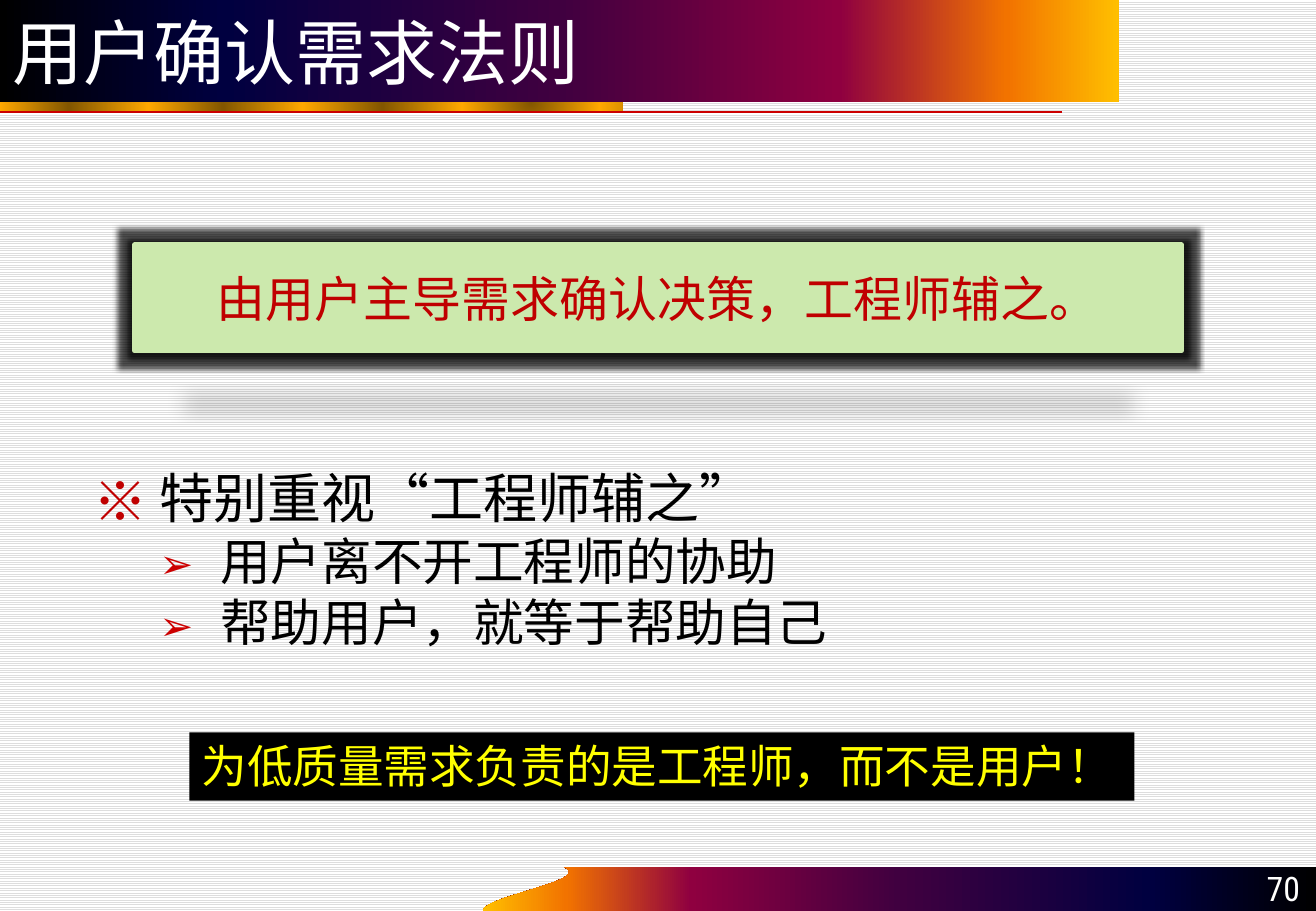
"""Build the slide on the rule that users confirm the requirements."""
from dataclasses import dataclass

from lxml import etree
from pptx import Presentation
from pptx.dml.color import RGBColor
from pptx.enum.dml import MSO_PATTERN
from pptx.enum.shapes import MSO_CONNECTOR, MSO_SHAPE
from pptx.enum.text import MSO_ANCHOR, MSO_AUTO_SIZE, PP_ALIGN
from pptx.oxml.ns import qn
from pptx.util import Inches, Pt

LIGHT_HORIZONTAL = MSO_PATTERN.LIGHT_HORIZONTAL
RECTANGLE = MSO_SHAPE.RECTANGLE
STRAIGHT = MSO_CONNECTOR.STRAIGHT
TOP, MIDDLE, BOTTOM = MSO_ANCHOR.TOP, MSO_ANCHOR.MIDDLE, MSO_ANCHOR.BOTTOM
FIXED, GROW = MSO_AUTO_SIZE.NONE, MSO_AUTO_SIZE.SHAPE_TO_FIT_TEXT
LEFT, CENTER, RIGHT = PP_ALIGN.LEFT, PP_ALIGN.CENTER, PP_ALIGN.RIGHT

WIDTH, HEIGHT = Inches(10.83), Inches(7.5)
SUNSET = [(0, "000000"), (20, "000040"), (50, "400040"),
          (75, "8F0040"), (90, "F27300"), (100, "FFBF00")]
GOLD = [(share, "FFA800" if i % 2 else "825600")
        for i, share in enumerate((0, 13, 28, 43, 58, 72, 87, 100))]


@dataclass
class Area:
    """A rectangle in percent of the slide's width and height."""
    left: float
    top: float
    width: float
    height: float

    def emu(self) -> tuple[int, int, int, int]:
        """Return left, top, width and height in EMU."""
        return (*point(self.left, self.top), *point(self.width, self.height))


@dataclass
class Type:
    """The look of a piece of text."""
    font: str
    size: float
    color: str
    align: PP_ALIGN = LEFT


@dataclass
class Bullet:
    """A list line with its mark and indents in inches."""
    text: str
    level: int
    mark: str
    color: str
    scale: int
    margin: float
    hanging: float
    size: float


@dataclass
class Panel:
    """A filled rectangle with one line of text."""
    area: Area
    text: str
    type: Type
    fill: str
    anchor: MSO_ANCHOR
    wrap: bool
    fit: MSO_AUTO_SIZE


BANNER = Panel(Area(10.2, 26.9, 79.6, 11.6), "由用户主导需求确认决策，工程师辅之。",
               Type("DejaVu Sans", 29, "C00000", CENTER), "CCE9AD", MIDDLE, True, FIXED)
VERDICT = Panel(Area(14.4, 80.4, 71.8, 7.5), "为低质量需求负责的是工程师，而不是用户！",
                Type("DejaVu Sans", 27, "FFFF00"), "000000", TOP, False, GROW)
ADVICE = [Bullet("特别重视“工程师辅之”", 0, "※", "C00000", 100, 0.54, 0.54, 32)] + [
    Bullet(text, 1, "➢", "CC0000", 80, 1.04, 0.5, 30)
    for text in ("用户离不开工程师的协助", "帮助用户，就等于帮助自己")]


def point(x: float, y: float) -> tuple[int, int]:
    """Turn percent of the slide into EMU."""
    return round(WIDTH * x / 100), round(HEIGHT * y / 100)


def rgb(color: str) -> RGBColor:
    """Turn a hex string into a colour."""
    return RGBColor.from_string(color)


def child(parent, tag: str, **attributes):
    """Add an XML child with the given attributes."""
    element = etree.SubElement(parent, qn(tag))
    for key, value in attributes.items():
        element.set(key, str(value))
    return element


def place(shape, area: Area) -> None:
    """Move and resize a shape."""
    shape.left, shape.top, shape.width, shape.height = area.emu()


def style(paragraph, look: Type) -> None:
    """Format a paragraph and its runs."""
    paragraph.alignment = look.align
    for run in paragraph.runs:
        run.font.size = Pt(look.size)
        run.font.color.rgb = rgb(look.color)
        run.font.name = look.font
        child(run.font._element, "a:ea", typeface=look.font)


def write(shape, text: str, look: Type, anchor: MSO_ANCHOR) -> None:
    """Set the single line of text in a shape."""
    frame = shape.text_frame
    frame.text = text
    frame.vertical_anchor = anchor
    style(frame.paragraphs[0], look)


def shade(shape, stops: list[tuple[int, str]], angle: int | None) -> None:
    """Fill a shape with a linear gradient, or a round one without angle."""
    shape.fill.gradient()
    if angle is not None:
        shape.fill.gradient_angle = angle
    gradient = shape.element.spPr.find(qn("a:gradFill"))
    stop_list = gradient.find(qn("a:gsLst"))
    for stop in list(stop_list):
        stop_list.remove(stop)
    for share, color in stops:
        child(child(stop_list, "a:gs", pos=share * 1000), "a:srgbClr", val=color)
    if angle is None:
        gradient.remove(gradient.find(qn("a:lin")))
        center = child(gradient, "a:path", path="circle")
        child(center, "a:fillToRect", l=50000, t=50000, r=50000, b=50000)


def curve(knots: list[tuple[float, float]], steps: int = 24) -> list[tuple[int, int]]:
    """Return points along a cubic curve given in percent."""
    points = []
    for step in range(steps + 1):
        t = step / steps
        weights = ((1 - t) ** 3, 3 * t * (1 - t) ** 2, 3 * t * t * (1 - t), t ** 3)
        x, y = (sum(w * knot[axis] for w, knot in zip(weights, knots)) for axis in (0, 1))
        points.append(point(x, y))
    return points


def add_ribbons(shapes) -> None:
    """Draw the footer ribbon, the gold strip and the red rule."""
    edge = curve([(36.7, 100), (36.7, 98.4), (45, 96.7), (42.9, 95.2)])
    footer = shapes.build_freeform(*point(100, 95.2), scale=1.0)
    footer.add_line_segments([point(100, 100), *edge])
    ribbon = footer.convert_to_shape()
    shade(ribbon, SUNSET, 180)
    outline = shapes.build_freeform(*point(0, 12.3), scale=1.0)
    outline.add_line_segments([point(47.3, 12.3), point(47.3, 10.1), point(0, 10.1)])
    outline.move_to(*point(0, 12.3))
    outline.add_line_segments([point(80.7, 12.3)], close=False)
    strip = outline.convert_to_shape()
    shade(strip, GOLD, None)
    for band in (ribbon, strip):
        band.line.fill.background()
        band.shadow.inherit = False
    rule = shapes.add_connector(STRAIGHT, *point(0, 12.3), *point(80.7, 12.3))
    rule.line.color.rgb = rgb("CC0000")
    rule.line.width = Pt(0.75)
    child(rule.element.spPr, "a:effectLst")


def add_advice(body) -> None:
    """Fill the body placeholder with the bulleted advice."""
    place(body, Area(6.2, 51.1, 87.5, 24.1))
    frame = body.text_frame
    frame.auto_size = FIXED
    frame.vertical_anchor = TOP
    for i, item in enumerate(ADVICE):
        paragraph = frame.add_paragraph() if i else frame.paragraphs[0]
        paragraph.text = item.text
        paragraph.level = item.level
        paragraph.line_spacing = 0.9
        paragraph.space_before = Pt(4 if i else 0)
        properties = paragraph._p.get_or_add_pPr()
        properties.set("marL", str(Inches(item.margin)))
        properties.set("indent", str(-Inches(item.hanging)))
        child(child(properties, "a:buClr"), "a:srgbClr", val=item.color)
        child(properties, "a:buSzPct", val=item.scale * 1000)
        child(properties, "a:buFont", typeface="Noto Sans CJK SC")
        child(properties, "a:buChar", char=item.mark)
        style(paragraph, Type("Noto Sans CJK SC", item.size, "000000"))


def add_panel(shapes, panel: Panel):
    """Draw a panel and return its shape."""
    shape = shapes.add_shape(RECTANGLE, *panel.area.emu())
    shape.shadow.inherit = False
    shape.fill.solid()
    shape.fill.fore_color.rgb = rgb(panel.fill)
    shape.line.fill.background()
    write(shape, panel.text, panel.type, panel.anchor)
    shape.text_frame.word_wrap = panel.wrap
    shape.text_frame.auto_size = panel.fit
    return shape


def lift(banner) -> None:
    """Give the banner its border, dark glow and shadow on the ground."""
    banner.line.color.rgb = rgb(BANNER.fill)
    banner.line.width = Pt(3)
    effects = banner.element.spPr.find(qn("a:effectLst"))
    glow = child(effects, "a:glow", rad=Pt(6))
    ground = child(effects, "a:outerShdw", blurRad=Pt(12), dist=Pt(25), dir=5400000,
                   sx=90000, sy=-19000, algn="b", rotWithShape=0)
    for effect, opacity in ((glow, 70), (ground, 15)):
        child(child(effect, "a:srgbClr", val="000000"), "a:alpha", val=opacity * 1000)


def main() -> None:
    """Build and save the presentation."""
    deck = Presentation()
    deck.slide_width, deck.slide_height = WIDTH, HEIGHT
    slide = deck.slides.add_slide(deck.slide_layouts[1])
    paper = slide.background.fill
    paper.patterned()
    paper.pattern = LIGHT_HORIZONTAL
    paper.fore_color.rgb, paper.back_color.rgb = rgb("DDDDDD"), rgb("FFFFFF")
    shapes = slide.shapes
    title, advice = shapes.title, slide.placeholders[1]
    add_ribbons(shapes)
    for placeholder in (title, advice):
        shapes.element.append(placeholder.element)
    place(title, Area(0, 0, 85, 11.2))
    shade(title, SUNSET, 0)
    title.text_frame.auto_size = FIXED
    write(title, "用户确认需求法则", Type("DejaVu Sans", 42, "FFFFFF"), MIDDLE)
    add_advice(advice)
    page = shapes.add_textbox(*Area(90.8, 95.1, 8.9, 5.3).emu())
    page.text_frame.word_wrap = True
    write(page, "70", Type("Roboto Condensed", 20, "FFFFFF", RIGHT), BOTTOM)
    lift(add_panel(shapes, BANNER))
    add_panel(shapes, VERDICT)
    deck.save("out.pptx")


if __name__ == "__main__":
    main()
